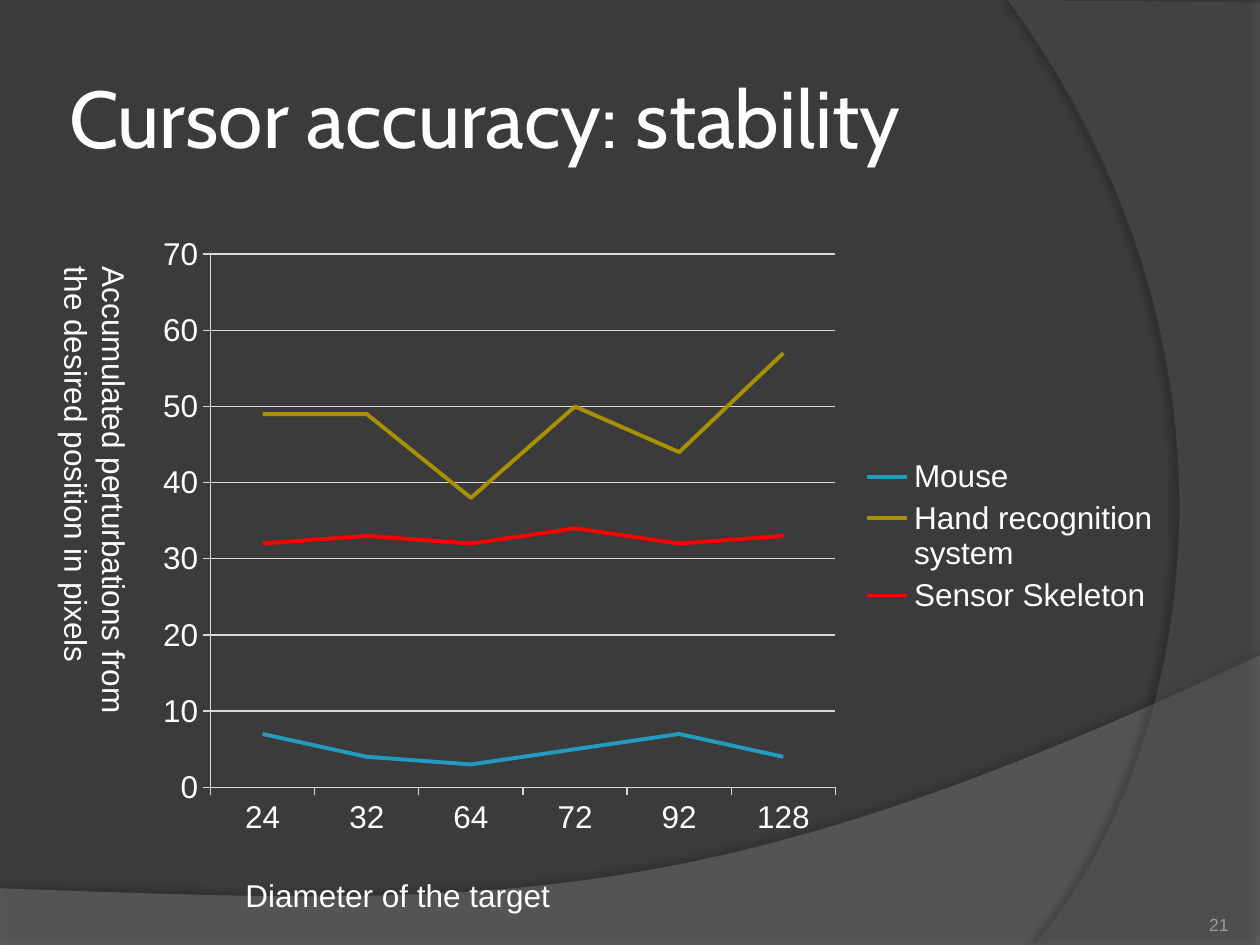
from lxml.etree import SubElement
from pptx import Presentation
from pptx.chart.data import CategoryChartData
from pptx.dml.color import RGBColor
from pptx.enum.chart import XL_CHART_TYPE, XL_LEGEND_POSITION, XL_MARKER_STYLE, XL_TICK_MARK
from pptx.enum.text import MSO_ANCHOR, PP_ALIGN
from pptx.oxml import parse_xml
from pptx.oxml.ns import nsdecls, qn
from pptx.util import Inches, Pt

BACKGROUND = RGBColor(0x3B, 0x3B, 0x3B)
WAVE_GRAY = RGBColor(0x7F, 0x7F, 0x7F)
ARC_GRAY = RGBColor(0x5E, 0x5E, 0x5E)
WHITE = RGBColor(0xFF, 0xFF, 0xFF)
AXIS_GRAY = RGBColor(0xD9, 0xD9, 0xD9)
NUMBER_GRAY = RGBColor(0x9D, 0x9B, 0x9A)
BLUE = RGBColor(0x22, 0x9B, 0xBE)
GOLD = RGBColor(0xA8, 0x90, 0x00)
RED = RGBColor(0xFF, 0x00, 0x00)

# Content
TITLE = "Cursor accuracy: stability"
X_LABEL = "Diameter of the target"
Y_LABEL = "Accumulated perturbations from the desired position in pixels"
PAGE_NUMBER = "21"
DIAMETERS = ["24", "32", "64", "72", "92", "128"]
SERIES = [
    ("Mouse", [7, 4, 3, 5, 7, 4], BLUE),
    ("Hand recognition system", [49, 49, 38, 50, 44, 57], GOLD),
    ("Sensor Skeleton", [32, 33, 32, 34, 32, 33], RED),
]
PLOT_AREA = {"x": 0.065, "y": 0.048, "w": 0.607, "h": 0.855}

# Background bands: corner points, then the control points of the curved edge
BANDS = [
    dict(corners=[(0, 7.05), (0, 7.5), (10, 7.5)],
         curve=[(10, 5.2), (5.59, 7.29), (3.91, 7.19), (0, 7.05)],
         color=WAVE_GRAY, opacity=45, shadow_opacity=35, distance=3.5, angle=270),
    dict(corners=[(10, 0.02), (10, 7.5)],
         curve=[(8.21, 7.5), (9.35, 6.19), (10.18, 3), (8, 0)],
         color=ARC_GRAY, opacity=40, shadow_opacity=45, distance=4, angle=180),
]


def curve_points(controls, steps=60):
    """Points along a cubic Bezier curve."""
    for step in range(steps + 1):
        t = step / steps
        weights = ((1 - t) ** 3, 3 * t * (1 - t) ** 2, 3 * t ** 2 * (1 - t), t ** 3)
        yield tuple(sum(w * point[axis] for w, point in zip(weights, controls))
                    for axis in (0, 1))


def add_band(slide, corners, curve, color, opacity, shadow_opacity, distance, angle):
    points = [(Inches(x), Inches(y)) for x, y in [*corners, *curve_points(curve)]]
    builder = slide.shapes.build_freeform(*points[0], scale=1.0)
    builder.add_line_segments(points[1:], close=True)
    band = builder.convert_to_shape()
    band.fill.solid()
    band.fill.fore_color.rgb = color
    band.line.fill.background()
    band.shadow.inherit = False
    properties = band.element.spPr
    fill_color = properties.find(qn("a:solidFill"))[0]
    SubElement(fill_color, qn("a:alpha"), val=str(opacity * 1000))
    properties.find(qn("a:effectLst")).append(parse_xml(
        f'<a:outerShdw {nsdecls("a")} blurRad="{Pt(4)}" dist="{Pt(distance)}" '
        f'dir="{angle * 60000}" algn="ctr" rotWithShape="0"><a:srgbClr val="000000">'
        f'<a:alpha val="{shadow_opacity * 1000}"/></a:srgbClr></a:outerShdw>'))


def write_text(holder, text, size=18, font="Arial", color=WHITE,
               align=PP_ALIGN.LEFT, anchor=MSO_ANCHOR.TOP, margin=None, vertical=None):
    frame = holder.text_frame
    frame.word_wrap = True
    frame.vertical_anchor = anchor
    if margin is not None:
        frame.margin_left = frame.margin_right = Inches(margin)
        frame.margin_top = frame.margin_bottom = Inches(margin)
    if vertical:
        frame._txBody.bodyPr.set("vert", vertical)
    paragraph = frame.paragraphs[0]
    paragraph.alignment = align
    run = paragraph.add_run()
    run.text = text
    run.font.size = Pt(size)
    run.font.name = font
    run.font.color.rgb = color


def add_stability_chart(slide, box):
    data = CategoryChartData()
    data.categories = DIAMETERS
    for name, values, _ in SERIES:
        data.add_series(name, values)
    chart = slide.shapes.add_chart(XL_CHART_TYPE.LINE, *box, data).chart
    chart.has_title = False
    chart.font.size = Pt(18)
    chart.font.name = "Arial"
    chart.font.color.rgb = WHITE

    # Lines
    chart.plots[0].vary_by_categories = False
    for series, (_, _, color) in zip(chart.plots[0].series, SERIES):
        series.smooth = False
        series.marker.style = XL_MARKER_STYLE.NONE
        series.format.line.color.rgb = color
        series.format.line.width = Pt(2.25)

    # Axes and legend
    value_axis = chart.value_axis
    value_axis.minimum_scale, value_axis.maximum_scale = 0, 70
    value_axis.major_unit = 10
    value_axis.has_major_gridlines = True
    for axis in (chart.category_axis, value_axis):
        axis.major_tick_mark = XL_TICK_MARK.OUTSIDE
        axis.minor_tick_mark = XL_TICK_MARK.NONE
    for part in (chart.category_axis, value_axis, value_axis.major_gridlines):
        part.format.line.color.rgb = AXIS_GRAY
        part.format.line.width = Pt(0.75)
    chart.has_legend = True
    chart.legend.position = XL_LEGEND_POSITION.RIGHT
    chart.legend.include_in_layout = False

    # Fixed plot area
    plot_area = chart._chartSpace.chart.plotArea
    for layout in plot_area.findall(qn("c:layout")):
        plot_area.remove(layout)
    settings = {"layoutTarget": "inner", "xMode": "edge", "yMode": "edge", **PLOT_AREA}
    entries = "".join(f'<c:{key} val="{value}"/>' for key, value in settings.items())
    plot_area.insert(0, parse_xml(
        f'<c:layout {nsdecls("c")}><c:manualLayout>{entries}</c:manualLayout></c:layout>'))


def inches(*lengths):
    return [Inches(length) for length in lengths]


def main():
    deck = Presentation()
    deck.slide_width, deck.slide_height = inches(10, 7.5)
    slide = deck.slides.add_slide(deck.slide_layouts[5])
    slide.background.fill.solid()
    slide.background.fill.fore_color.rgb = BACKGROUND

    for band in BANDS:
        add_band(slide, **band)

    # Title
    title = slide.shapes.title
    title.left, title.top, title.width, title.height = inches(0.5, 0.3, 8.17, 1.25)
    write_text(title, TITLE, size=46, font="Cabin", anchor=MSO_ANCHOR.MIDDLE, margin=0.05)

    # Chart, axis labels and page number
    add_stability_chart(slide, inches(1.14, 1.78, 8.17, 4.95))
    add_box = slide.shapes.add_textbox
    write_text(add_box(*inches(1.85, 6.9, 4.57, 0.4)), X_LABEL)
    write_text(add_box(*inches(0.3, 2.02, 0.81, 4.09)), Y_LABEL, vertical="eaVert")
    write_text(add_box(*inches(8.92, 7.02, 0.83, 0.4)), PAGE_NUMBER, size=10,
               color=NUMBER_GRAY, align=PP_ALIGN.RIGHT, anchor=MSO_ANCHOR.BOTTOM, margin=0)

    deck.save("out.pptx")


if __name__ == "__main__":
    main()
